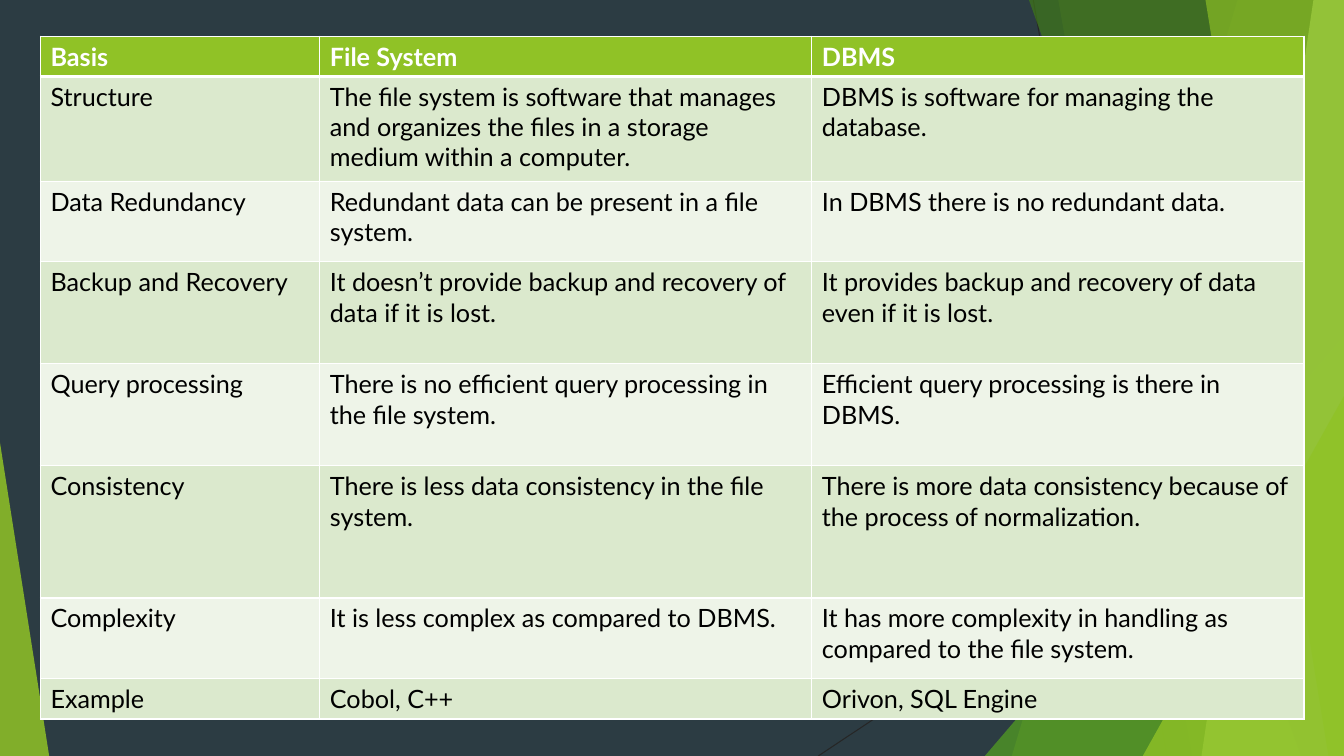
from lxml import etree
from pptx import Presentation
from pptx import util as u
from pptx.dml.color import RGBColor
from pptx.enum import shapes
from pptx.oxml.ns import qn

SLATE = RGBColor(0x2C, 0x3C, 0x43)
LINE_GREY = RGBColor(0x26, 0x26, 0x26)
LIME = RGBColor(0x90, 0xC2, 0x26)
GREEN = RGBColor(0x54, 0xA0, 0x21)
FOREST = RGBColor(0x3F, 0x78, 0x19)
PALE_LIME = RGBColor(0xC0, 0xE4, 0x74)
BAND_DARK = RGBColor(0xDB, 0xE9, 0xCD)
BAND_LIGHT = RGBColor(0xEE, 0xF4, 0xE8)
WHITE = RGBColor(0xFF, 0xFF, 0xFF)
BLACK = RGBColor(0, 0, 0)

WIDTH, HEIGHT = 33.87, 19.05
COLUMNS = [7.04, 12.4, 12.4]
ROWS = [
    (1.02, "Basis", "File System", "DBMS"),
    (2.64, "Structure",
     "The file system is software that manages and organizes the files "
     "in a storage medium within a computer.",
     "DBMS is software for managing the database."),
    (2.03, "Data Redundancy",
     "Redundant data can be present in a file system.",
     "In DBMS there is no redundant data."),
    (2.57, "Backup and Recovery",
     "It doesn’t provide backup and recovery of data if it is lost.",
     "It provides backup and recovery of data even if it is lost."),
    (2.57, "Query processing",
     "There is no efficient query processing in the file system.",
     "Efficient query processing is there in DBMS."),
    (3.33, "Consistency",
     "There is less data consistency in the file system.",
     "There is more data consistency because of the process of normalization."),
    (2.03, "Complexity",
     "It is less complex as compared to DBMS.",
     "It has more complexity in handling as compared to the file system."),
    (1.02, "Example", "Cobol, C++", "Orivon, SQL Engine"),
]


class SlideBuilder:
    """Holds the text style and the current slide, and adds elements to it."""

    def __init__(self, slide, font="Lato", size=18):
        self.slide, self.font, self.size = slide, font, size

    def background(self, color):
        """Fill the slide background."""
        fill = self.slide.background.fill
        fill.solid()
        fill.fore_color.rgb = color

    def paint(self, shape, color, opacity):
        """Give a shape a translucent fill with no outline or shadow."""
        shape.shadow.inherit = False
        shape.line.fill.background()
        shape.fill.solid()
        shape.fill.fore_color.rgb = color
        tint = shape.fill._xPr.find(qn("a:solidFill"))[0]
        etree.SubElement(tint, qn("a:alpha"), val=str(opacity * 1000))

    def line(self, *ends):
        """Add a thin line between two points."""
        line = self.slide.shapes.add_connector(
            shapes.MSO_CONNECTOR.STRAIGHT, *map(u.Cm, ends))
        line.line.color.rgb = LINE_GREY
        line.line.width = u.Pt(0.75)
        etree.SubElement(line._element.spPr, qn("a:effectLst"))

    def facet(self, top_x, bottom_x, color, opacity):
        """Add a full-height panel with a slanted left edge."""
        right, bottom = u.Cm(WIDTH), u.Cm(HEIGHT)
        outline = self.slide.shapes.build_freeform(u.Cm(top_x), 0)
        outline.add_line_segments(
            [(right, 0), (right, bottom), (u.Cm(bottom_x), bottom)])
        self.paint(outline.convert_to_shape(), color, opacity)

    def triangle(self, left, top, width, apex, color, opacity):
        """Add a triangle that stands on the bottom edge of the slide."""
        shape = self.slide.shapes.add_shape(
            shapes.MSO_SHAPE.ISOSCELES_TRIANGLE,
            *map(u.Cm, (left, top, width, HEIGHT - top)))
        shape.adjustments[0] = apex
        self.paint(shape, color, opacity)

    def border(self, cell, side, points):
        """Draw one white border of a cell."""
        edge = etree.SubElement(cell._tc.get_or_add_tcPr(), qn("a:ln" + side),
                                w=str(u.Pt(points)))
        fill = etree.SubElement(edge, qn("a:solidFill"))
        etree.SubElement(fill, qn("a:srgbClr"), val=str(WHITE))

    def cell(self, cell, words, color, fill, bold):
        """Fill a cell and write its text."""
        cell.fill.solid()
        cell.fill.fore_color.rgb = fill
        span = cell.text_frame.paragraphs[0].add_run()
        span.text = words
        span.font.name, span.font.size = self.font, u.Pt(self.size)
        span.font.bold, span.font.color.rgb = bold, color

    def table(self, left, top, columns, rows):
        """Add a banded table whose rows start with their height."""
        total = sum(row[0] for row in rows)
        table = self.slide.shapes.add_table(
            len(rows), len(columns),
            *map(u.Cm, (left, top, sum(columns), total))).table
        for column, width in zip(table.columns, columns):
            column.width = u.Cm(width)
        for r, (height, *texts) in enumerate(rows):
            table.rows[r].height = u.Cm(height)
            header = r == 0
            fill = LIME if header else BAND_DARK if r % 2 else BAND_LIGHT
            for c, words in enumerate(texts):
                cell = table.cell(r, c)
                for side in "LRTB":
                    heavy = (r, side) in ((0, "B"), (1, "T"))
                    self.border(cell, side, 3 if heavy else 1)
                self.cell(cell, words, WHITE if header else BLACK, fill, header)


def main():
    """Build the comparison slide and save it."""
    deck = Presentation()
    deck.slide_width, deck.slide_height = u.Cm(WIDTH), u.Cm(HEIGHT)
    page = SlideBuilder(deck.slides.add_slide(deck.slide_layouts[6]))
    page.background(SLATE)
    page.line(26.04, 0, 29.41, HEIGHT)
    page.line(WIDTH, 10.24, 20.62, HEIGHT)
    page.facet(31.19, 25.5, LIME, 30)
    page.facet(26.67, 30.05, LIME, 20)
    page.triangle(24.82, 8.46, 9.05, 1, GREEN, 72)
    page.facet(25.93, 32.79, FOREST, 70)
    page.facet(33.1, 30.28, PALE_LIME, 70)
    page.facet(30.38, 33.48, LIME, 65)
    page.triangle(28.8, 9.98, 5.07, 1, LIME, 80)
    page.triangle(0, 11.15, 1.24, 0, LIME, 85)
    page.table(1.02, 0.91, COLUMNS, ROWS)
    deck.save("out.pptx")


if __name__ == "__main__":
    main()
